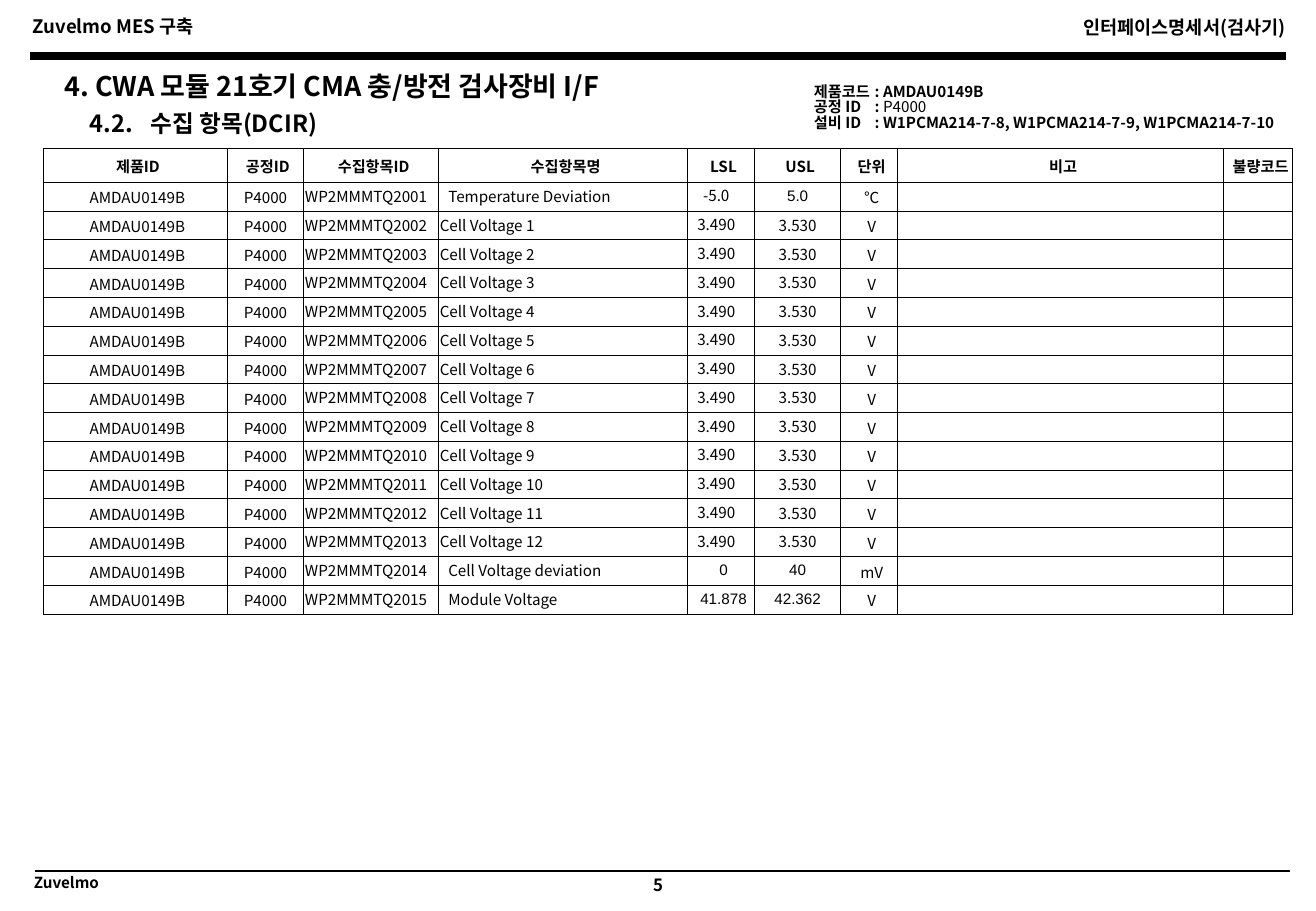
"""Build the interface specification slide listing the DCIR collection items."""
from dataclasses import dataclass
from typing import Any

from lxml import etree
from pptx import Presentation
from pptx import util as u
from pptx.dml.color import RGBColor
from pptx.enum import shapes, text
from pptx.oxml.ns import qn

BLACK = RGBColor(0, 0, 0)
WHITE = RGBColor(255, 255, 255)
KOREAN_FONT = "Noto Sans CJK KR"
NUMBER_FONT = "Arial"
LEFT, CENTER, RIGHT = text.PP_ALIGN.LEFT, text.PP_ALIGN.CENTER, text.PP_ALIGN.RIGHT
HEADER_HEIGHT, TABLE_HEIGHT = 0.28, 3.84
HEADER_INSETS = (0.04, 0.01, 0, 0)
BODY_INSETS = (0.01, 0.01, 0.01, 0)
INDENTED = (0.08, 0.01, 0, 0)


@dataclass(frozen=True)
class Label:
    content: str
    left: float
    top: float
    width: float
    height: float
    size: float
    align: Any = LEFT
    hanging: float = 0


@dataclass(frozen=True)
class Rule:
    left: float
    right: float
    top: float
    weight: float


@dataclass(frozen=True)
class Column:
    heading: str
    width: float
    align: Any = CENTER
    insets: tuple[float, float, float, float] = BODY_INSETS
    spacing: float = 1.0


@dataclass(frozen=True)
class Item:
    name: str
    lower: str
    upper: str
    unit: str
    indented: bool = True
    number_fonts: tuple[str, str] = (NUMBER_FONT, NUMBER_FONT)


TITLE = Label("4. CWA 모듈 21호기 CMA 충/방전 검사장비 I/F", 0.43, 0.59, 5.09, 0.32, 16)
LABELS = (
    Label("5", 4.95, 7.2, 0.93, 0.24, 10, CENTER),
    Label("Zuvelmo", 0.18, 7.19, 4.15, 0.22, 9),
    Label("인터페이스명세서(검사기)", 6.53, 0.14, 4.15, 0.25, 11, RIGHT),
    Label("Zuvelmo MES 구축", 0.17, 0.13, 4.15, 0.25, 11),
    Label("4.2.\t수집 항목(DCIR)", 0.64, 0.91, 3.83, 0.29, 14, hanging=0.5),
)
RULES = (Rule(0.29, 10.62, 7.17, 1), Rule(0.25, 10.58, 0.46, 4.5))
EQUIPMENT = (
    ("제품코드", "AMDAU0149B", True),
    ("공정 ID", "P4000", False),
    ("설비 ID", "W1PCMA214-7-8, W1PCMA214-7-9, W1PCMA214-7-10", True),
)
COLUMNS = (
    Column("제품ID", 1.51, insets=(0.04, 0.01, 0.01, 0)),
    Column("공정ID", 0.63),
    Column("수집항목ID", 1.11, LEFT, spacing=0.8),
    Column("수집항목명", 2.05, LEFT, spacing=0.8),
    Column("LSL", 0.55, insets=(0, 0, 0.08, 0), spacing=0.8),
    Column("USL", 0.71, spacing=0.8),
    Column("단위", 0.47, insets=HEADER_INSETS),
    Column("비고", 2.68),
    Column("불량코드", 0.57),
)
NAME_COLUMN, LOWER_COLUMN, UPPER_COLUMN = 3, 4, 5
ITEMS = (
    Item("Temperature Deviation", "-5.0", "5.0", "℃", number_fonts=(KOREAN_FONT, NUMBER_FONT)),
    *(Item(f"Cell Voltage {cell}", "3.490", "3.530", "V", False, (KOREAN_FONT, KOREAN_FONT))
      for cell in range(1, 13)),
    Item("Cell Voltage deviation", "0", "40", "mV"),
    Item("Module Voltage", "41.878", "42.362", "V"),
)


def write(paragraph: Any, content: str, *, size: float = 9, bold: bool = False,
          font: str = KOREAN_FONT, align: Any = LEFT, spacing: float = 0.8,
          hanging: float = 0) -> None:
    """Append a formatted run to a paragraph."""
    paragraph.alignment = align
    paragraph.line_spacing = spacing
    if hanging:
        properties = paragraph._p.get_or_add_pPr()
        properties.set("marL", str(u.Inches(hanging)))
        properties.set("indent", str(-u.Inches(hanging)))
    if not content:
        etree.SubElement(paragraph._p, qn("a:endParaRPr"), sz=str(size * 100))
        return
    run = paragraph.add_run()
    run.text = content
    run.font.size = u.Pt(size)
    run.font.bold = bold
    run.font.name = font
    run.font.color.rgb = BLACK
    etree.SubElement(run._r.get_or_add_rPr(), qn("a:ea"), typeface=KOREAN_FONT)


def set_insets(target: Any, insets: tuple[float, float, float, float]) -> None:
    """Set the left, top, right and bottom margins of a cell or text frame."""
    for side, inset in zip(("left", "top", "right", "bottom"), insets):
        setattr(target, f"margin_{side}", u.Inches(inset))


def fill_label(shape: Any, label: Label, wrap: bool = True) -> None:
    """Place a text shape and write its bold label."""
    shape.left, shape.top = u.Inches(label.left), u.Inches(label.top)
    shape.width, shape.height = u.Inches(label.width), u.Inches(label.height)
    frame = shape.text_frame
    frame.word_wrap = wrap
    frame.auto_size = text.MSO_AUTO_SIZE.NONE
    frame.vertical_anchor = text.MSO_ANCHOR.TOP
    set_insets(frame, (0.1, 0.03, 0.1, 0.03))
    paragraph = frame.paragraphs[0]
    paragraph.space_before = u.Pt(0)
    write(paragraph, label.content, size=label.size, bold=True,
          align=label.align, hanging=label.hanging)


def add_rule(slide: Any, rule: Rule) -> None:
    """Draw a horizontal black line."""
    top = u.Inches(rule.top)
    line = slide.shapes.add_connector(
        shapes.MSO_CONNECTOR.STRAIGHT, u.Inches(rule.left), top, u.Inches(rule.right), top)
    line.line.color.rgb = BLACK
    line.line.width = u.Pt(rule.weight)
    etree.SubElement(line._element.spPr, qn("a:effectLst"))


def add_equipment(slide: Any) -> None:
    """Write the product, process and equipment codes."""
    box = slide.shapes.add_textbox(u.Inches(6.6), u.Inches(0.65), u.Inches(4.2), u.Inches(0.51))
    frame = box.text_frame
    frame.word_wrap = True
    for index, (label, value, bold) in enumerate(EQUIPMENT):
        paragraph = frame.add_paragraph() if index else frame.paragraphs[0]
        write(paragraph, f"{label}\t: ", bold=True, spacing=0.85, hanging=0.5)
        write(paragraph, value, bold=bold, spacing=0.85)


def style_cell(cell: Any, insets: tuple[float, float, float, float]) -> None:
    """Give a cell thin black borders, a white fill and its margins."""
    properties = cell._tc.get_or_add_tcPr()
    for edge in ("lnL", "lnR", "lnT", "lnB"):
        border = etree.SubElement(properties, qn(f"a:{edge}"), w=str(u.Pt(0.5)))
        fill = etree.SubElement(border, qn("a:solidFill"))
        etree.SubElement(fill, qn("a:srgbClr"), val=str(BLACK))
    cell.fill.solid()
    cell.fill.fore_color.rgb = WHITE
    cell.vertical_anchor = text.MSO_ANCHOR.MIDDLE
    set_insets(cell, insets)


def add_items(slide: Any) -> None:
    """Build the table of collection items."""
    width = sum(column.width for column in COLUMNS)
    table = slide.shapes.add_table(
        len(ITEMS) + 1, len(COLUMNS), u.Inches(0.36), u.Inches(1.22),
        u.Inches(width), u.Inches(TABLE_HEIGHT)).table
    table.first_row = table.horz_banding = False
    for row in table.rows:
        row.height = u.Inches((TABLE_HEIGHT - HEADER_HEIGHT) / len(ITEMS))
    table.rows[0].height = u.Inches(HEADER_HEIGHT)
    for index, column in enumerate(COLUMNS):
        table.columns[index].width = u.Inches(column.width)
        cell = table.cell(0, index)
        style_cell(cell, HEADER_INSETS)
        write(cell.text_frame.paragraphs[0], column.heading, bold=True, align=CENTER, spacing=1.0)
    for number, item in enumerate(ITEMS, 1):
        values = ("AMDAU0149B", "P4000", f"WP2MMMTQ{2000 + number}",
                  item.name, item.lower, item.upper, item.unit, "", "")
        fonts = dict(zip((LOWER_COLUMN, UPPER_COLUMN), item.number_fonts))
        for index, (column, value) in enumerate(zip(COLUMNS, values)):
            cell = table.cell(number, index)
            font = fonts.get(index, KOREAN_FONT)
            insets = column.insets
            if index == NAME_COLUMN and item.indented:
                insets = INDENTED
            elif index == LOWER_COLUMN and font == NUMBER_FONT:
                insets = HEADER_INSETS
            style_cell(cell, insets)
            write(cell.text_frame.paragraphs[0], value, font=font,
                  align=column.align, spacing=column.spacing)


def main() -> None:
    """Assemble and save the slide."""
    presentation = Presentation()
    presentation.slide_width, presentation.slide_height = u.Inches(10.83), u.Inches(7.5)
    slide = presentation.slides.add_slide(presentation.slide_layouts.get_by_name("Title Only"))
    fill_label(slide.shapes.title, TITLE, wrap=False)
    for label in LABELS:
        fill_label(slide.shapes.add_textbox(0, 0, 0, 0), label)
    for rule in RULES:
        add_rule(slide, rule)
    add_items(slide)
    add_equipment(slide)
    presentation.save("out.pptx")


main()
